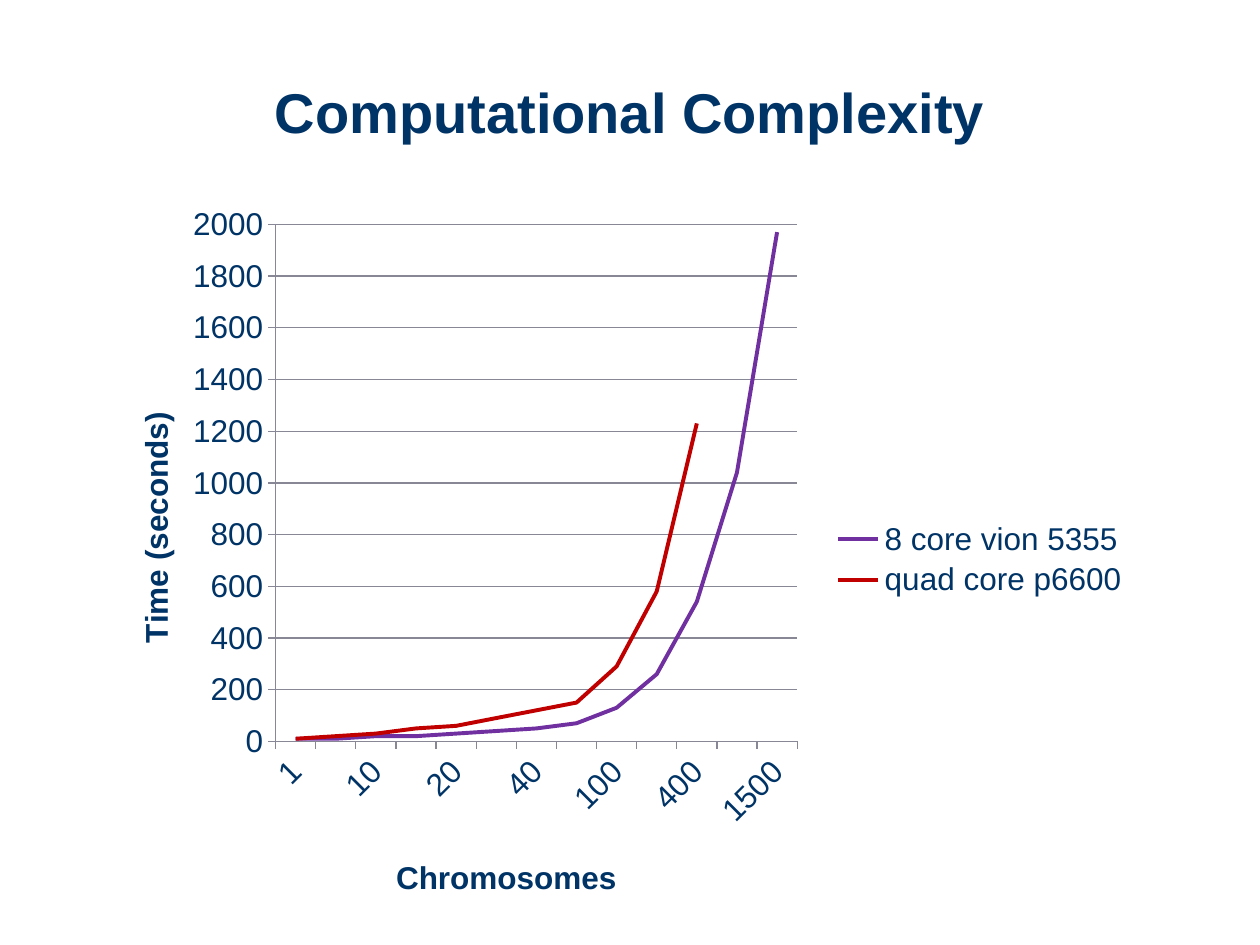
from lxml import etree
from pptx import Presentation
from pptx.chart.data import CategoryChartData
from pptx.dml.color import RGBColor
from pptx.enum.chart import XL_CHART_TYPE, XL_LEGEND_POSITION, XL_TICK_MARK
from pptx.enum.text import MSO_ANCHOR, PP_ALIGN
from pptx.oxml.ns import qn
from pptx.util import Inches, Pt

LINE = XL_CHART_TYPE.LINE
RIGHT = XL_LEGEND_POSITION.RIGHT
OUT = XL_TICK_MARK.OUTSIDE
MIDDLE = MSO_ANCHOR.MIDDLE
CENTER = PP_ALIGN.CENTER
NAVY, GRAY = "003366", "878796"
CATS = ["1", "5", "10", "15", "20", "30", "40", "50", "100", "200", "400", "800", "1500"]
SERIES = [
    ("8 core vion 5355", "7030A0",
     [10, 10, 20, 20, 30, 40, 50, 70, 130, 260, 540, 1040, 1970]),
    ("quad core p6600", "C00000",
     [10, 20, 30, 50, 60, 90, 120, 150, 290, 580, 1230, None, None]),
]


def color(text):
    """Turn a hex string into a colour."""
    return RGBColor.from_string(text)


def style(font, size, bold=False):
    """Set the shared look of a font."""
    look = {"name": "Arial", "size": Pt(size), "bold": bold}
    for key, val in look.items():
        setattr(font, key, val)
    font.color.rgb = color(NAVY)


def stroke(line, tint, width):
    """Set the colour and width of a line."""
    line.color.rgb = color(tint)
    line.width = Pt(width)


def place(part, **spots):
    """Give a chart part a manual layout in fractions of the chart."""
    node = part.find(qn("c:layout"))
    if node is None:
        node = etree.Element(qn("c:layout"))
        before = [part.find(qn(tag)) for tag in ("c:tx", "c:legendPos")]
        prior = next((item for item in before if item is not None), None)
        if prior is None:
            part.insert(0, node)
        else:
            prior.addnext(node)
    for old in list(node):
        node.remove(old)
    box = etree.SubElement(node, qn("c:manualLayout"))
    if part.tag == qn("c:plotArea"):
        etree.SubElement(box, qn("c:layoutTarget")).set("val", "inner")
    for key in ("x", "y"):
        etree.SubElement(box, qn(f"c:{key}Mode")).set("val", "edge")
    for key, val in spots.items():
        etree.SubElement(box, qn(f"c:{key}")).set("val", str(val))


def add_title(slide, text):
    """Add the centred slide title."""
    box = slide.shapes.add_textbox(Inches(0.5), Inches(0.3), Inches(9), Inches(1.25))
    frame = box.text_frame
    for key, val in {"word_wrap": True, "vertical_anchor": MIDDLE, "text": text}.items():
        setattr(frame, key, val)
    para = frame.paragraphs[0]
    para.alignment = CENTER
    para.line_spacing = 0.85
    style(para.runs[0].font, 32, True)


def set_axis(axis, text, x, y):
    """Format an axis and its title."""
    axis.major_tick_mark = OUT
    stroke(axis.format.line, GRAY, 0.75)
    style(axis.tick_labels.font, 18)
    frame = axis.axis_title.text_frame
    frame.text = text
    style(frame.paragraphs[0].runs[0].font, 18, True)
    place(axis.axis_title._element, x=x, y=y)


def add_chart(slide):
    """Add the line chart of time against chromosomes."""
    data = CategoryChartData()
    data.categories = CATS
    for name, _, vals in SERIES:
        data.add_series(name, vals)
    chart = slide.shapes.add_chart(
        LINE, Inches(0.78), Inches(1.55), Inches(8.28), Inches(5.78), data).chart
    style(chart.font, 18)
    chart.has_title = False
    chart.has_legend = True
    chart.legend.position = RIGHT
    chart.legend.include_in_layout = False
    style(chart.legend.font, 18)
    place(chart.legend._element, x=0.7, y=0.44, w=0.29, h=0.12)
    plot = chart.plots[0]
    plot.vary_by_categories = False
    for line, (_, tint, _) in zip(plot.series, SERIES):
        line.smooth = False
        stroke(line.format.line, tint, 2.25)
    place(chart._chartSpace.chart.plotArea, x=0.17, y=0.04, w=0.5, h=0.71)
    set_axis(chart.category_axis, "Chromosomes", 0.28, 0.9)
    labels = chart.category_axis._element
    labels.find(qn("c:txPr")).find(qn("a:bodyPr")).set("rot", "-2700000")
    skip = etree.Element(qn("c:tickLblSkip"))
    skip.set("val", "2")
    labels.find(qn("c:noMultiLvlLbl")).addprevious(skip)
    axis = chart.value_axis
    set_axis(axis, "Time (seconds)", 0.03, 0.29)
    turn = axis.axis_title.text_frame._txBody.find(qn("a:bodyPr"))
    turn.set("rot", "-5400000")
    turn.set("vert", "horz")
    for key, val in {"minimum_scale": 0, "maximum_scale": 2000, "major_unit": 200}.items():
        setattr(axis, key, val)
    stroke(axis.major_gridlines.format.line, GRAY, 0.75)


def main():
    """Build and save the slide."""
    deck = Presentation()
    deck.slide_width, deck.slide_height = Inches(10), Inches(7.5)
    slide = deck.slides.add_slide(deck.slide_layouts[6])
    add_chart(slide)
    add_title(slide, "Computational Complexity")
    deck.save("out.pptx")


if __name__ == "__main__":
    main()
